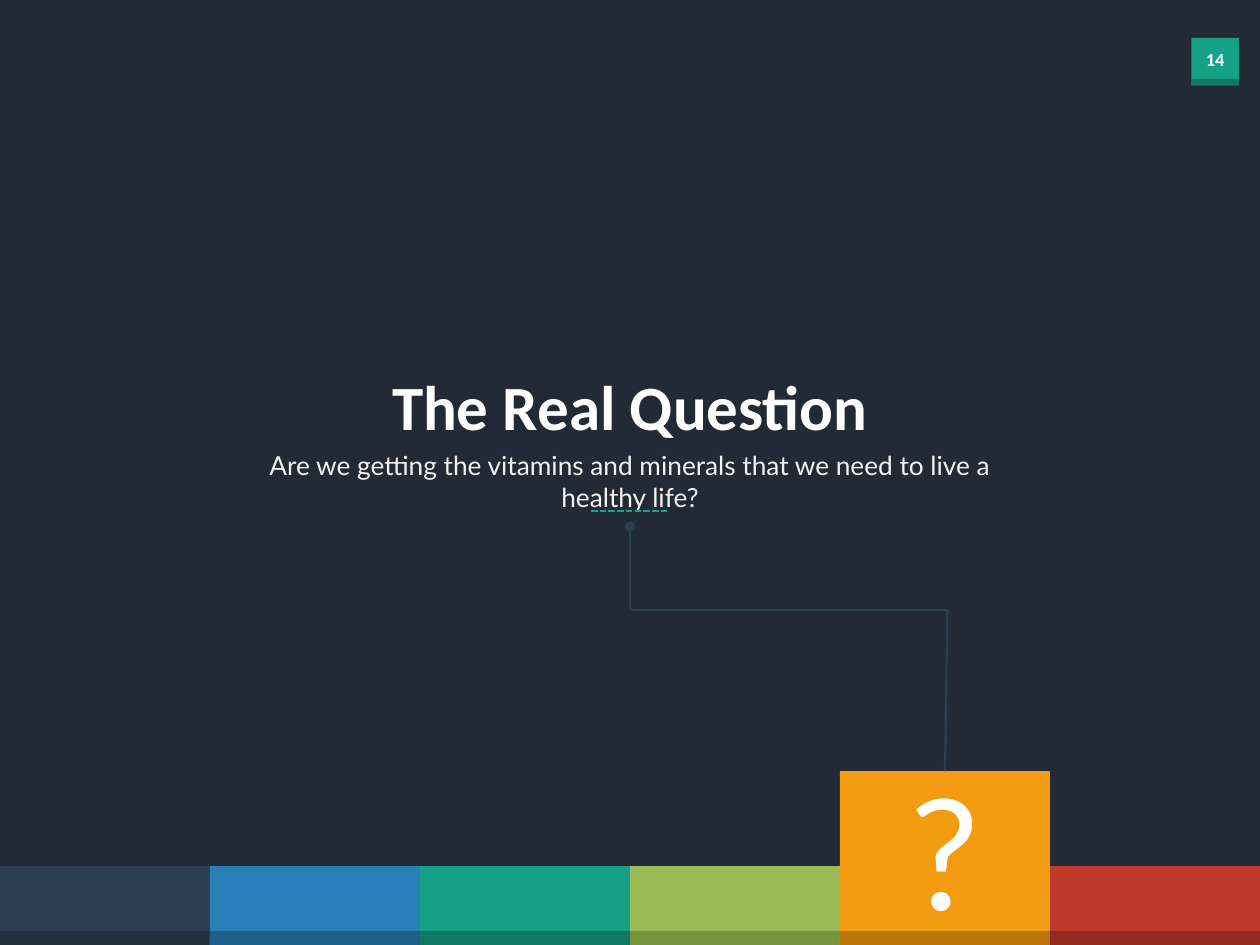
from lxml import etree
from pptx import Presentation
from pptx.dml.color import RGBColor
from pptx.enum.dml import MSO_LINE
from pptx.enum.shapes import MSO_CONNECTOR, MSO_SHAPE
from pptx.enum.text import MSO_ANCHOR, PP_ALIGN
from pptx.oxml.ns import qn
from pptx.util import Pt

BACKGROUND = RGBColor(0x22, 0x2A, 0x35)
WHITE = RGBColor(0xFF, 0xFF, 0xFF)
OFF_WHITE = RGBColor(0xF2, 0xF2, 0xF2)
SLATE, SLATE_DARK = RGBColor(0x2C, 0x3F, 0x50), RGBColor(0x21, 0x2F, 0x3C)
BLUE, BLUE_DARK = RGBColor(0x29, 0x80, 0xB9), RGBColor(0x1F, 0x60, 0x8B)
TEAL, TEAL_DARK = RGBColor(0x16, 0xA0, 0x85), RGBColor(0x10, 0x78, 0x64)
GREEN, GREEN_DARK = RGBColor(0x9B, 0xBB, 0x59), RGBColor(0x77, 0x93, 0x3C)
ORANGE, ORANGE_DARK = RGBColor(0xF3, 0x9C, 0x12), RGBColor(0xBA, 0x76, 0x09)
RED, RED_DARK = RGBColor(0xC0, 0x39, 0x2B), RGBColor(0x90, 0x2B, 0x20)

TILES = [(SLATE, SLATE_DARK), (BLUE, BLUE_DARK), (TEAL, TEAL_DARK),
         (GREEN, GREEN_DARK), (ORANGE, ORANGE_DARK), (RED, RED_DARK)]
RAISED = 4  # index of the tall tile with the question mark


def add_rect(slide, x, y, w, h, color):
    sp = slide.shapes.add_shape(MSO_SHAPE.RECTANGLE, Pt(x), Pt(y), Pt(w), Pt(h))
    sp.shadow.inherit = False
    sp.fill.solid()
    sp.fill.fore_color.rgb = color
    sp.line.fill.background()
    return sp


def add_text(slide, x, y, w, h, text, size, font="Calibri", color=WHITE,
             bold=False, wrap=True):
    tf = slide.shapes.add_textbox(Pt(x), Pt(y), Pt(w), Pt(h)).text_frame
    tf.word_wrap = wrap
    p = tf.paragraphs[0]
    p.text = text
    p.alignment = PP_ALIGN.CENTER
    p.font.name = font
    p.font.size = Pt(size)
    p.font.bold = bold
    p.font.color.rgb = color
    return tf


def add_line(slide, x1, y1, x2, y2, color):
    line = slide.shapes.add_connector(MSO_CONNECTOR.STRAIGHT,
                                      Pt(x1), Pt(y1), Pt(x2), Pt(y2))
    line.line.color.rgb = color
    line.line.width = Pt(1.25)
    etree.SubElement(line._element.spPr, qn("a:effectLst"))
    return line


def add_page_badge(slide, x, y, size):
    add_rect(slide, x, y, size, size, TEAL)
    add_rect(slide, x, y + size - 3.6, size, 3.6, TEAL_DARK)
    add_text(slide, x, y + 2.2, size, 20, "14", 10.5, bold=True, wrap=False)


def add_tile_strip(slide, x, y, w, h, raise_by):
    """Place the row of tiles and return the raised one."""
    tile_w, shade_h = w / len(TILES), 8
    for i, (color, shade) in enumerate(TILES):
        left = x + i * tile_w
        lift = raise_by if i == RAISED else 0
        tile = add_rect(slide, left, y - lift, tile_w, h + lift, color)
        add_rect(slide, left, y + h - shade_h, tile_w, shade_h, shade)
        if i == RAISED:
            raised = tile
            tf = add_text(slide, left + 27, y - lift + 10, 66, 69, "?", 88, "Lato")
            tf.vertical_anchor = MSO_ANCHOR.MIDDLE
            tf.margin_left = tf.margin_right = Pt(5)
            tf.margin_top = tf.margin_bottom = Pt(2.9)
    return raised


def add_question(slide, x, y, w):
    center = x + w / 2
    add_text(slide, center - 145.5, y, 291, 51, "The Real Question", 36,
             bold=True, wrap=False)
    add_text(slide, x, y + 46.8, w, 25,
             "Are we getting the vitamins and minerals that we need to live a healthy life?",
             15, "Lato", OFF_WHITE)
    rule = add_line(slide, center - 22.3, y + 85.5, center + 22.3, y + 85.5, TEAL)
    rule.line.dash_style = MSO_LINE.SQUARE_DOT


def add_path_to_tile(slide, x, top, bend, tile):
    """Lead a bent line with a round start down to the tile's top."""
    corner = 541.4
    start = add_line(slide, x, top, x, bend, SLATE)
    etree.SubElement(start.line._get_or_add_ln(), qn("a:headEnd"), type="oval")
    add_line(slide, x, bend, corner, bend, SLATE)
    drop = add_line(slide, corner, bend, corner, bend + 90, SLATE)
    drop.end_connect(tile, 0)


def main():
    prs = Presentation()
    prs.slide_width, prs.slide_height = Pt(720), Pt(540)
    slide = prs.slides.add_slide(prs.slide_layouts[6])
    slide.background.fill.solid()
    slide.background.fill.fore_color.rgb = BACKGROUND

    add_page_badge(slide, 680.8, 21.6, 27.2)
    tile = add_tile_strip(slide, 0, 495, 720, 45, raise_by=54.4)
    add_question(slide, 125.5, 206.6, 469)
    add_path_to_tile(slide, 360, 301, 348.4, tile)
    prs.save("out.pptx")


if __name__ == "__main__":
    main()
